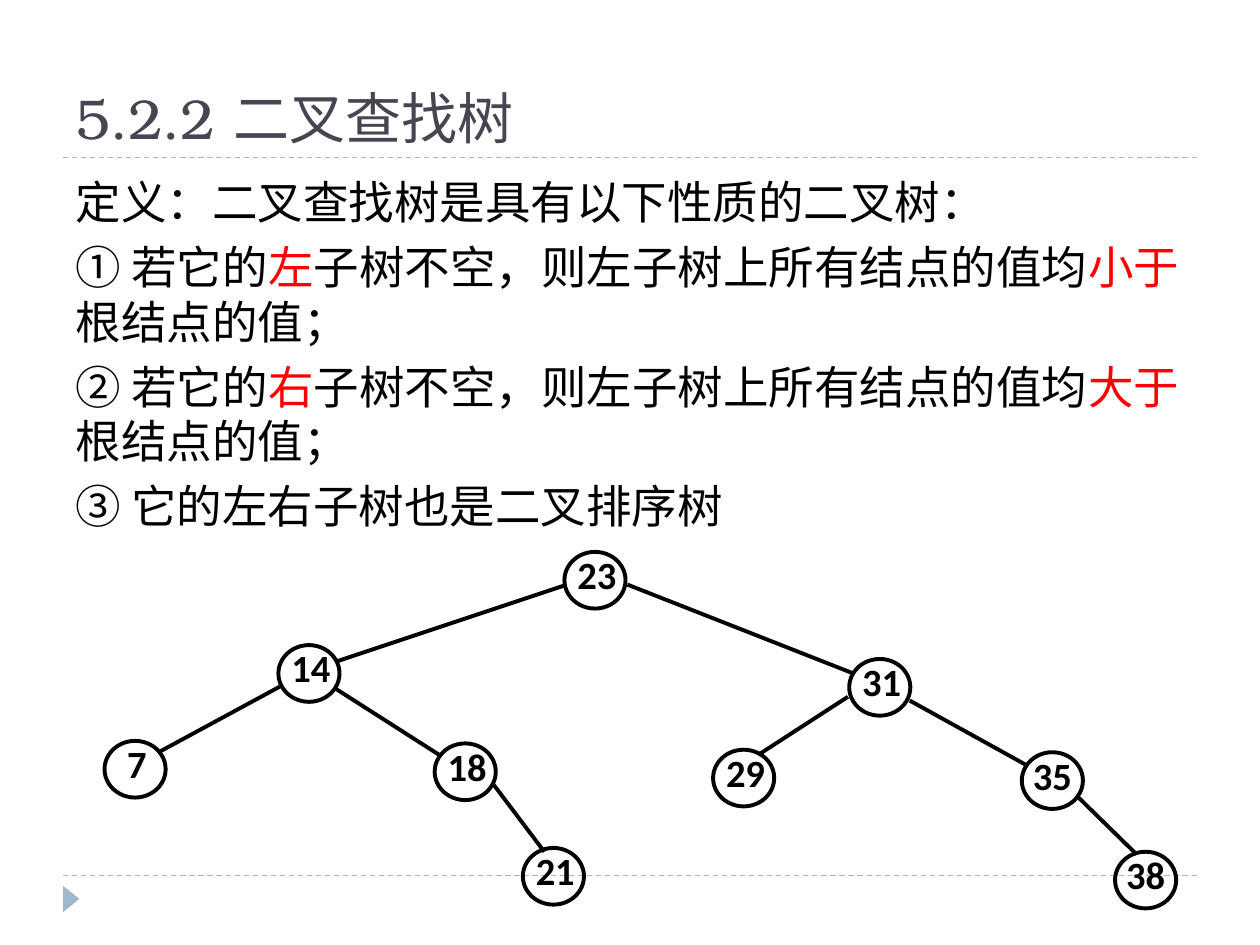
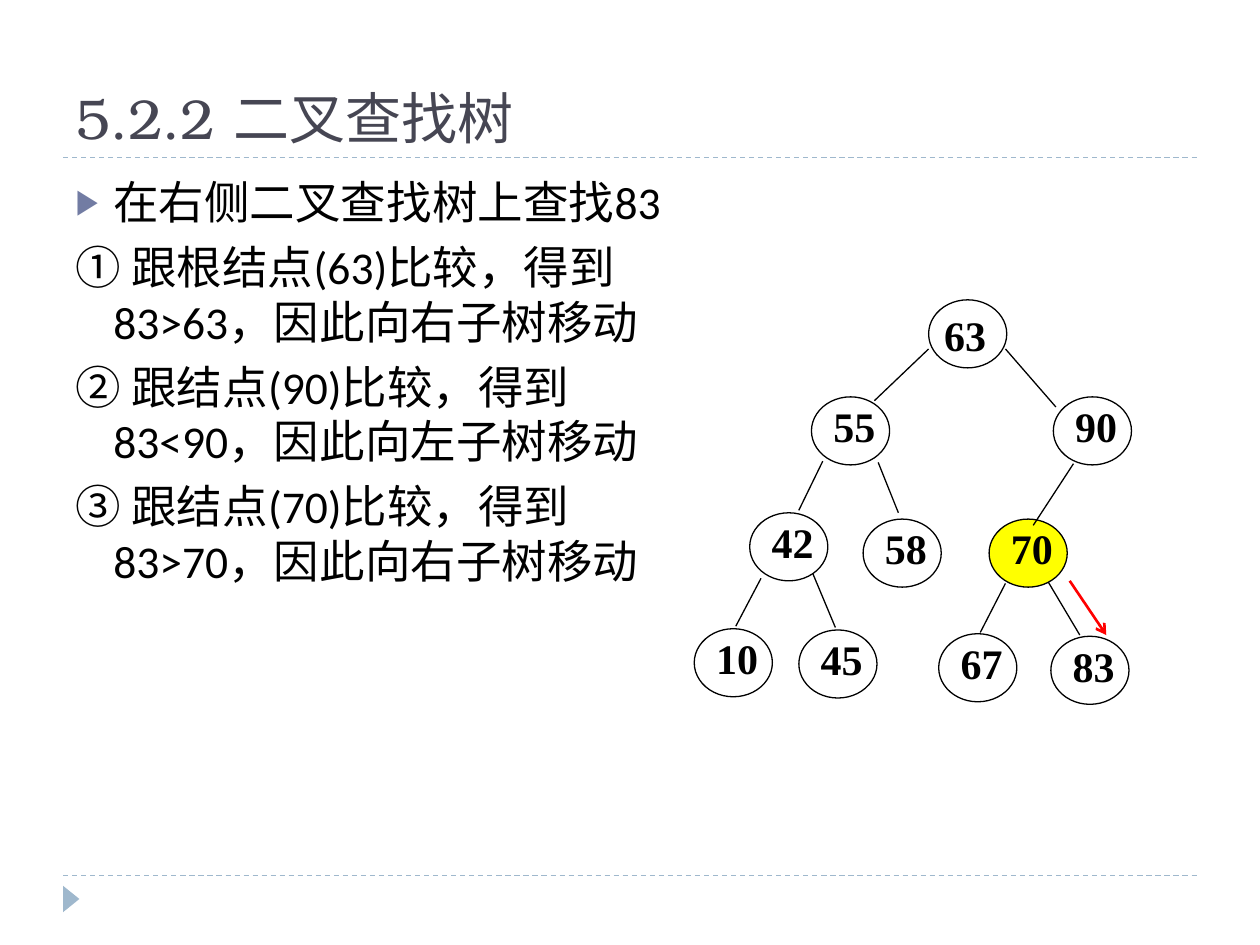
from dataclasses import dataclass
from typing import Optional

import lxml.etree
import pptx
import pptx.dml.color
import pptx.enum.dml
import pptx.enum.shapes
import pptx.enum.text
import pptx.oxml.ns
import pptx.util

SHAPE = pptx.enum.shapes.MSO_SHAPE
ALIGN = pptx.enum.text.PP_ALIGN
ANCHOR = pptx.enum.text.MSO_ANCHOR
Pt = pptx.util.Pt

COLORS = {
    "text": "000000",
    "title": "464653",
    "band": "9FB8CD",
    "bullet": "727CA3",
    "accent": "FF0000",
    "found": "FFFF00",
    "paper": "FFFFFF",
}
BODY_FONT = "Calibri"
TITLE_FONT = "TeX Gyre Bonum"
LABEL_FONT = "Times New Roman"
TITLE = "5.2.2 二叉查找树"

COLUMNS, ROWS = 100, 75
MARGIN, CONTENT_WIDTH = 5, 90
HANGING = 3

prs = pptx.Presentation()
prs.slide_width, prs.slide_height = pptx.util.Inches(10), pptx.util.Inches(7.5)


@dataclass(frozen=True)
class Node:
    key: str
    col: float
    row: float
    inset: float = 0.3
    fill: Optional[str] = None


@dataclass(frozen=True)
class Edge:
    col1: float
    row1: float
    col2: float
    row2: float


@dataclass(frozen=True)
class Item:
    """A list paragraph; text between asterisks takes the accent colour."""
    text: str
    hanging: float = 0
    bullet: Optional[str] = None


DEFINITION = [
    Item("定义：二叉查找树是具有以下性质的二叉树："),
    Item("① 若它的*左*子树不空，则左子树上所有结点的值均*小于*根结点的值；"),
    Item("② 若它的*右*子树不空，则左子树上所有结点的值均*大于*根结点的值；"),
    Item("③ 它的左右子树也是二叉排序树"),
]
SEARCH_STEPS = [
    Item("在右侧二叉查找树上查找83", HANGING, "▶"),
    Item("① 跟根结点(63)比较，得到83>63，因此向右子树移动", HANGING),
    Item("② 跟结点(90)比较，得到83<90，因此向左子树移动", HANGING),
    Item("③ 跟结点(70)比较，得到83>70，因此向右子树移动", HANGING),
]

EXAMPLE_NODES = [
    Node("23", 44.8, 43.8),
    Node("14", 22.1, 51.2),
    Node("31", 67.4, 52.3),
    Node("7", 8.3, 58.8),
    Node("18", 34.5, 59),
    Node("29", 56.6, 59.5),
    Node("35", 81.1, 59.7, inset=0),
    Node("21", 41.5, 67.3),
    Node("38", 88.5, 67.6, inset=0),
]
EXAMPLE_EDGES = [
    Edge(44.7, 46.5, 26.7, 52.5),
    Edge(49.8, 46.4, 67.6, 53.4),
    Edge(22.2, 54.5, 12.6, 59.7),
    Edge(26.7, 54.7, 35, 60),
    Edge(67.3, 55.3, 60.2, 59.9),
    Edge(72.2, 55.6, 81.6, 60.8),
    Edge(39.2, 62.3, 43.2, 67.6),
    Edge(85.6, 63.3, 90.2, 67.8),
]

SEARCH_ROOT = Node("63", 73.7, 23.8, fill="paper")
SEARCH_NODES = [
    Node("55", 64.4, 31.5),
    Node("90", 83.6, 31.5, fill="paper"),
    Node("42", 59.5, 40.7),
    Node("58", 68.5, 41.2),
    Node("70", 78.5, 41.2, fill="found"),
    Node("10", 55.1, 49.9),
    Node("45", 63.4, 50),
    Node("67", 74.5, 50.3),
    Node("83", 83.4, 50.5),
]
SEARCH_EDGES = [
    Edge(73.7, 27.7, 69.4, 31.8),
    Edge(79.8, 27.7, 83.8, 32.3),
    Edge(65.3, 36.6, 63.4, 40.5),
    Edge(69.7, 36.7, 71.3, 40.7),
    Edge(85.2, 36.8, 82, 41.7),
    Edge(60.4, 45.9, 58.4, 49.7),
    Edge(64.5, 45.5, 66.3, 49.8),
    Edge(79.8, 46.3, 77.8, 50.2),
    Edge(83.2, 46.2, 85.7, 50.4),
]
NEXT_MOVE = Edge(84.9, 46.1, 87.8, 50.4)


def x(cols: float) -> int:
    return round(prs.slide_width * cols / COLUMNS)


def y(rows: float) -> int:
    return round(prs.slide_height * rows / ROWS)


def rgb(name: str) -> pptx.dml.color.RGBColor:
    return pptx.dml.color.RGBColor.from_string(COLORS[name])


def add_xml(parent, tag: str, **attributes: str):
    return lxml.etree.SubElement(parent, pptx.oxml.ns.qn(tag), attributes)


def set_font(font, name: str, size: float, color: str, bold: bool = False) -> None:
    font.name, font.size, font.bold = name, Pt(size), bold
    font.color.rgb = rgb(color)


def place(sp, col: float, row: float, width: float, height: float) -> None:
    sp.left, sp.top, sp.width, sp.height = x(col), y(row), x(width), y(height)


def add_line(slide, edge: Edge, width: float, color: str = "text"):
    line = slide.shapes.add_connector(
        pptx.enum.shapes.MSO_CONNECTOR.STRAIGHT,
        x(edge.col1), y(edge.row1), x(edge.col2), y(edge.row2))
    line.line.width = Pt(width)
    line.line.color.rgb = rgb(color)
    add_xml(line.element.spPr, "a:effectLst")
    return line


def add_arrow(slide, edge: Edge) -> None:
    arrow = add_line(slide, edge, 1.5, "accent")
    add_xml(arrow.line.fill._xPr, "a:tailEnd", type="arrow")


def add_bands(slide) -> None:
    """Draw the dashed rules and the footer marker."""
    for row in (69.5, 12.5):
        rule = add_line(slide, Edge(MARGIN, row, MARGIN + CONTENT_WIDTH, row), 0.75, "band")
        rule.line.dash_style = pptx.enum.dml.MSO_LINE.DASH
    marker = slide.shapes.add_shape(
        SHAPE.ISOSCELES_TRIANGLE, x(4.6), y(70.7), x(2.1), y(1.3))
    marker.rotation = 90
    marker.shadow.inherit = False
    marker.fill.solid()
    marker.fill.fore_color.rgb = rgb("band")
    marker.line.fill.background()


def set_title(slide) -> None:
    title = slide.shapes.title
    place(title, MARGIN, 1.7, CONTENT_WIDTH, 10.8)
    tf = title.text_frame
    tf.text = TITLE
    tf.auto_size = pptx.enum.text.MSO_AUTO_SIZE.NONE
    tf.vertical_anchor = ANCHOR.BOTTOM
    p = tf.paragraphs[0]
    p.alignment = ALIGN.LEFT
    set_font(p.runs[0].font, TITLE_FONT, 32, "title")


def set_bullet(p, item: Item) -> None:
    pPr = p._p.get_or_add_pPr()
    pPr.set("marL", str(x(item.hanging)))
    pPr.set("indent", str(-x(item.hanging)))
    if item.bullet is None:
        add_xml(pPr, "a:buNone")
        return
    add_xml(add_xml(pPr, "a:buClr"), "a:srgbClr", val=COLORS["bullet"])
    add_xml(pPr, "a:buSzPct", val="76000")
    add_xml(pPr, "a:buChar", char=item.bullet)


def set_body(slide, items: list[Item], width: float) -> None:
    body = slide.placeholders[1]
    place(body, MARGIN, 13.3, width, 54)
    tf = body.text_frame
    tf.auto_size = pptx.enum.text.MSO_AUTO_SIZE.NONE
    for i, item in enumerate(items):
        p = tf.add_paragraph() if i else tf.paragraphs[0]
        p.space_before = Pt(6 if i else 0)
        set_bullet(p, item)
        for part, text in enumerate(item.text.split("*")):
            r = p.add_run()
            r.text = text
            set_font(r.font, BODY_FONT, 26, "accent" if part % 2 else "text")


def set_label(sp, key: str, font: str, size: float, insets: tuple) -> None:
    """Write a node's key; insets are left, top, right and bottom."""
    tf = sp.text_frame
    tf.margin_left, tf.margin_right = x(insets[0]), x(insets[2])
    tf.margin_top, tf.margin_bottom = y(insets[1]), y(insets[3])
    tf.vertical_anchor = ANCHOR.TOP
    tf.word_wrap = False
    tf.text = key
    p = tf.paragraphs[0]
    p.alignment = ALIGN.CENTER
    set_font(p.runs[0].font, font, size, "text", bold=True)


def add_circle(slide, node: Node, width: float, height: float, line_width: float):
    sp = slide.shapes.add_shape(SHAPE.OVAL, x(node.col), y(node.row), x(width), y(height))
    sp.shadow.inherit = False
    if node.fill is None:
        sp.fill.background()
    else:
        sp.fill.solid()
        sp.fill.fore_color.rgb = rgb(node.fill)
    sp.line.color.rgb = rgb("text")
    sp.line.width = Pt(line_width)
    return sp


def add_example_node(slide, node: Node) -> None:
    sp = add_circle(slide, node, 4.85, 4.5, 2.25)
    set_label(sp, node.key, BODY_FONT, 22, (node.inset, 0, 0, 0))
    sp.text_frame.paragraphs[0].line_spacing = 0.8


def add_search_node(slide, node: Node, dx: float = 0.8, dy: float = -0.9,
                    top_inset: float = 1.2) -> None:
    """Draw a circle and its label box, offset from the circle by dx and dy."""
    add_circle(slide, node, 6.2, 5.4, 0.75)
    sp = slide.shapes.add_textbox(x(node.col + dx), y(node.row + dy), x(5.2), y(6.3))
    set_label(sp, node.key, LABEL_FONT, 24, (0.2, top_inset, 0.2, 0.1))


def add_base_slide(items: list[Item], body_width: float):
    slide = prs.slides.add_slide(prs.slide_layouts[1])
    add_bands(slide)
    set_title(slide)
    set_body(slide, items, body_width)
    return slide


def build_definition_slide() -> None:
    slide = add_base_slide(DEFINITION, CONTENT_WIDTH)
    for node in EXAMPLE_NODES:
        add_example_node(slide, node)
    for edge in EXAMPLE_EDGES:
        add_line(slide, edge, 2.25)


def build_search_slide() -> None:
    slide = add_base_slide(SEARCH_STEPS, 50.9)
    add_search_node(slide, SEARCH_ROOT, dx=0.3, dy=0.7, top_inset=0.1)
    for node in SEARCH_NODES:
        add_search_node(slide, node)
    for edge in SEARCH_EDGES:
        add_line(slide, edge, 0.75)
    add_arrow(slide, NEXT_MOVE)


def main() -> None:
    build_definition_slide()
    build_search_slide()
    prs.save("out.pptx")


if __name__ == "__main__":
    main()
